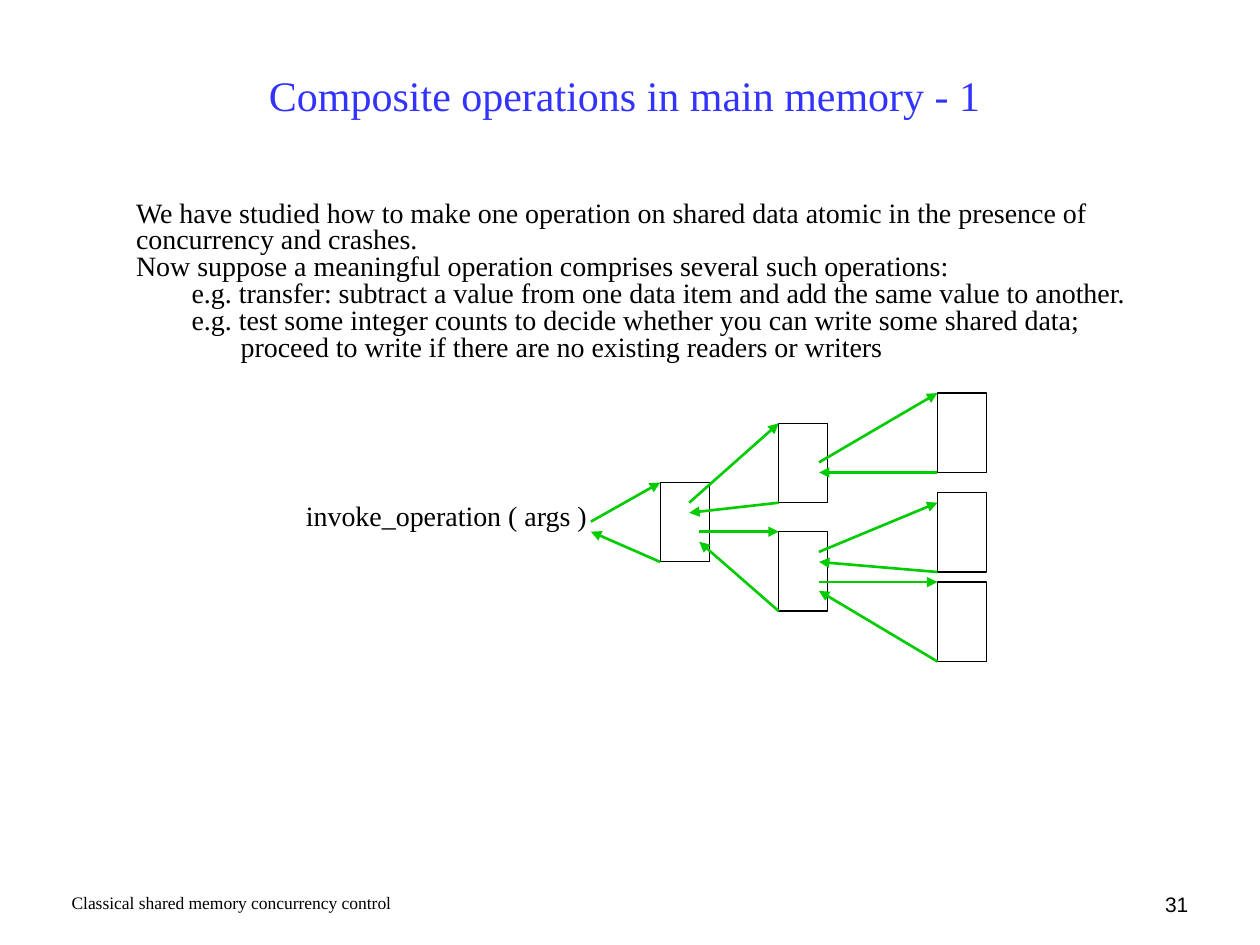
from lxml.etree import SubElement
from pptx import Presentation
from pptx.dml.color import RGBColor
from pptx.enum.shapes import MSO_CONNECTOR, MSO_SHAPE
from pptx.enum.text import MSO_ANCHOR, MSO_AUTO_SIZE, PP_ALIGN
from pptx.oxml.ns import qn
from pptx.util import Inches, Pt

SERIF, SANS = "Times New Roman", "Arial"
BLACK, BLUE, GREEN = "000000", "3333FF", "00CC00"
BOX_W, BOX_H = 0.39, 0.63

# (paragraph, left indent)
BODY = [
    ("We have studied how to make one operation on shared data atomic in the presence of", 0),
    ("concurrency and crashes.", 0),
    ("Now suppose a meaningful operation comprises several such operations:", 0),
    ("e.g. transfer: subtract a value from one data item and add the same value to another.", 0.44),
    ("e.g. test some integer counts to decide whether you can write some shared data;", 0.44),
    ("proceed to write if there are no existing readers or writers", 0.83),
]

# (box left, box top, call start, call end height, return end)
OPERATIONS = [
    (5.24, 3.83, (4.69, 4.14), 3.83, (4.69, 4.22)),
    (6.18, 3.36, (5.47, 3.99), 3.36, (5.47, 4.07)),
    (6.18, 4.22, (5.55, 4.22), 4.22, (5.55, 4.30)),
    (7.44, 3.12, (6.50, 3.67), 3.12, (6.50, 3.75)),
    (7.44, 3.91, (6.50, 4.38), 3.99, (6.50, 4.46)),
    (7.44, 4.62, (6.50, 4.62), 4.62, (6.50, 4.69)),
]


def color(value):
    return RGBColor.from_string(value)


class SlideBuilder:
    def __init__(self, slide):
        self.s = slide

    def place(self, sp, left, top, width, height):
        sp.left, sp.top = Inches(left), Inches(top)
        sp.width, sp.height = Inches(width), Inches(height)

    def run(self, p, text, size, font=SERIF, fill=BLACK, align=PP_ALIGN.LEFT):
        p.alignment = align
        r = p.add_run()
        r.text = text
        r.font.size, r.font.name = Pt(size), font
        r.font.color.rgb = color(fill)

    def title(self, text, *area):
        sp = self.s.shapes.title
        self.place(sp, *area)
        tf = sp.text_frame
        tf.auto_size = MSO_AUTO_SIZE.NONE
        tf.vertical_anchor = MSO_ANCHOR.MIDDLE
        self.run(tf.paragraphs[0], text, 24, fill=BLUE, align=PP_ALIGN.CENTER)

    def body(self, lines, *area):
        sp = self.s.placeholders[1]
        self.place(sp, *area)
        tf = sp.text_frame
        tf.auto_size = MSO_AUTO_SIZE.NONE
        for i, (text, indent) in enumerate(lines):
            p = tf.paragraphs[0] if i == 0 else tf.add_paragraph()
            pPr = p._p.get_or_add_pPr()
            pPr.set("marL", str(Inches(indent)))
            pPr.set("indent", "0")
            SubElement(pPr, qn("a:buNone"))
            p.line_spacing, p.space_before = 0.8, Pt(0)
            self.run(p, text, 16)

    def text(self, text, area, size, font=SERIF, align=PP_ALIGN.LEFT, wrap=True):
        sp = self.s.shapes.add_textbox(*map(Inches, area))
        tf = sp.text_frame
        tf.word_wrap = wrap
        self.run(tf.paragraphs[0], text, size, font, align=align)

    def box(self, left, top):
        area = map(Inches, (left, top, BOX_W, BOX_H))
        sp = self.s.shapes.add_shape(MSO_SHAPE.RECTANGLE, *area)
        sp.shadow.inherit = False
        sp.fill.background()
        sp.line.color.rgb, sp.line.width = color(BLACK), Pt(0.75)

    def arrow(self, start, end):
        ends = map(Inches, (*start, *end))
        c = self.s.shapes.add_connector(MSO_CONNECTOR.STRAIGHT, *ends)
        c.line.color.rgb, c.line.width = color(GREEN), Pt(1.5)
        spPr = c._element.spPr
        SubElement(spPr.find(qn("a:ln")), qn("a:tailEnd"), type="triangle")
        SubElement(spPr, qn("a:effectLst"))


def main():
    prs = Presentation()
    prs.slide_width, prs.slide_height = Inches(10), Inches(7.5)
    b = SlideBuilder(prs.slides.add_slide(prs.slide_layouts[1]))

    b.title("Composite operations in main memory - 1 ", 0.5, 0.44, 9, 0.63)
    b.body(BODY, 0.98, 1.55, 8.5, 1.38)

    b.text("invoke_operation ( args )", (2.33, 3.91, 2.43, 0.37), 16, wrap=False)
    for left, top, *_ in OPERATIONS:
        b.box(left, top)
    for left, top, call_start, call_y, return_end in OPERATIONS:
        b.arrow(call_start, (left, call_y))
        b.arrow((left, top + BOX_H), return_end)

    b.text("31", (7.17, 7.03, 2.36, 0.32), 12, SANS, PP_ALIGN.RIGHT)
    b.text("Classical shared memory concurrency control", (0.47, 7.03, 4.3, 0.29), 10)
    prs.save("out.pptx")


if __name__ == "__main__":
    main()
